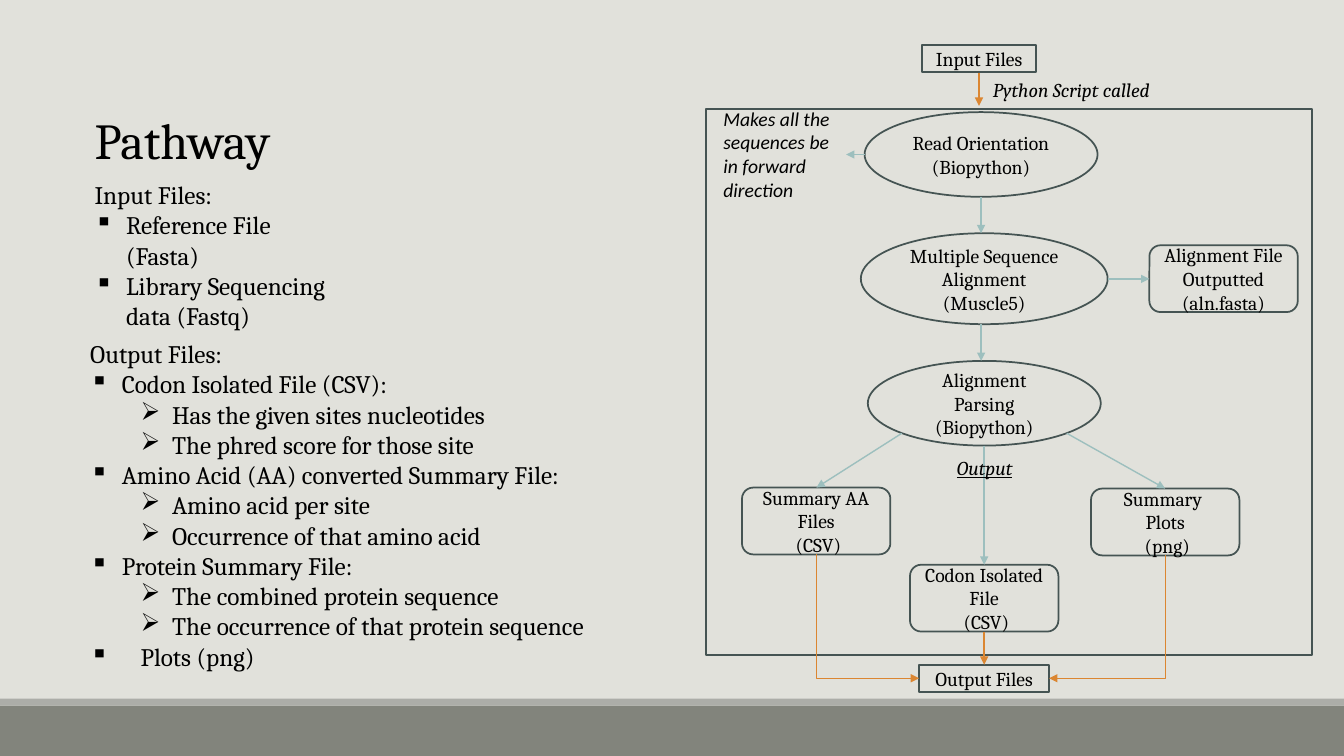
"""Build the sequencing pathway slide: file lists on the left, flowchart on the right."""
from dataclasses import dataclass
from typing import NamedTuple

from lxml.etree import SubElement
from pptx import Presentation
from pptx.dml.color import RGBColor
from pptx.enum.shapes import MSO_CONNECTOR, MSO_SHAPE
from pptx.enum.text import MSO_ANCHOR, MSO_AUTO_SIZE, PP_ALIGN
from pptx.oxml.ns import qn
from pptx.shapes.autoshape import Shape
from pptx.shapes.connector import Connector
from pptx.slide import Slide
from pptx.util import Pt

COLORS = {
    "background": "E1E1DB",
    "footer": "82847C",
    "strip": "ACADA8",
    "outline": "455453",
    "step": "9DBFBE",
    "file": "DB8631",
    "text": "000000",
}


class Box(NamedTuple):
    left: float
    top: float
    width: float
    height: float


class Line(NamedTuple):
    text: str
    bullet: str = ""
    margin: float = 0
    hanging: float = 22.5


@dataclass(frozen=True)
class Node:
    kind: MSO_SHAPE
    box: Box
    lines: tuple[str, ...] = ()


@dataclass(frozen=True)
class Label:
    box: Box
    lines: tuple[Line, ...]
    size: float = 14
    font: str = "Cambria"
    italic: bool = False
    underline: bool = False


@dataclass(frozen=True)
class Arrow:
    start: tuple[float, float]
    end: tuple[float, float]
    color: str = "step"
    bent: bool = False


def item(text: str) -> Line:
    return Line(text, "▪", 22.5)


def detail(text: str) -> Line:
    return Line(text, "➢", 58.5)


def file_node(left: float, top: float, *lines: str) -> Node:
    return Node(MSO_SHAPE.ROUNDED_RECTANGLE, Box(left, top, 106, 47.7), lines)


BARS = (("footer", Box(0, 504, 960, 36)), ("strip", Box(0, 499, 960, 5)))

LABELS = (
    Label(Box(60.5, 74.2, 535.7, 51.1), (Line("Pathway"),), size=36),
    Label(
        Box(60.5, 124.6, 191.5, 116.6),
        (
            Line("Input Files:"),
            item("Reference File (Fasta)"),
            item("Library Sequencing data (Fastq)"),
        ),
        size=18,
    ),
    Label(
        Box(57.4, 238.3, 372.2, 269.3),
        (
            Line("Output Files:"),
            item("Codon Isolated File (CSV):"),
            detail("Has the given sites nucleotides"),
            detail("The phred score for those site"),
            item("Amino Acid (AA) converted Summary File:"),
            detail("Amino acid per site"),
            detail("Occurrence of that amino acid"),
            item("Protein Summary File:"),
            detail("The combined protein sequence"),
            detail("The occurrence of that protein sequence"),
            Line("Plots (png)", "▪", 36, 36),
        ),
        size=18,
    ),
    Label(Box(699, 51.8, 144.7, 24.2), (Line(" Python Script called"),), italic=True),
    Label(Box(676.5, 322, 70.6, 24.2), (Line("Output"),), italic=True, underline=True),
    Label(
        Box(509.6, 72.8, 95, 74.9),
        (Line("Makes all the sequences be in forward direction"),),
        font="Calibri",
        italic=True,
    ),
)

NODES = (
    Node(MSO_SHAPE.RECTANGLE, Box(504.2, 77.8, 432.9, 390.2)),
    Node(MSO_SHAPE.RECTANGLE, Box(658.5, 32.1, 81.8, 19.4), ("Input Files",)),
    Node(MSO_SHAPE.OVAL, Box(617.6, 80.1, 166.4, 60.5), ("Read Orientation", "(Biopython)")),
    Node(MSO_SHAPE.OVAL, Box(614.9, 166.6, 176.3, 65), ("Multiple Sequence Alignment", "(Muscle5)")),
    Node(MSO_SHAPE.OVAL, Box(619.9, 257.8, 166.4, 60.5), ("Alignment Parsing", "(Biopython)")),
    file_node(821, 175.2, "Alignment File Outputted (aln.fasta)"),
    file_node(530, 348.3, "Summary AA Files", " (CSV)"),
    file_node(650, 403.4, "Codon Isolated File", " (CSV)"),
    file_node(779.3, 349, "Summary ", "Plots", " (png)"),
    Node(MSO_SHAPE.RECTANGLE, Box(656.5, 474.8, 92.9, 19.4), ("Output Files",)),
)

ARROWS = (
    Arrow((699.3, 51.8), (699.3, 75.6), "file"),
    Arrow((700.8, 140.6), (700.8, 166.6)),
    Arrow((700.8, 231.6), (700.8, 257.8)),
    Arrow((791.2, 199.2), (821, 199.2)),
    Arrow((644.2, 309.5), (583.2, 348.3)),
    Arrow((703, 318.3), (703, 403.4)),
    Arrow((762, 309.5), (832.3, 349)),
    Arrow((617.6, 110.4), (604.4, 110.4)),
    Arrow((583.2, 396), (656.5, 484.5), "file", bent=True),
    Arrow((703, 451.1), (703, 474.8), "file"),
    Arrow((832.3, 396.7), (749.4, 484.5), "file", bent=True),
)


def color(name: str) -> RGBColor:
    return RGBColor.from_string(COLORS[name])


def write_text(shape: Shape, lines: tuple[Line, ...], *, size: float = 14, font: str = "Cambria",
               italic: bool = False, underline: bool = False,
               align: PP_ALIGN = PP_ALIGN.LEFT, anchor: MSO_ANCHOR = MSO_ANCHOR.TOP) -> None:
    frame = shape.text_frame
    frame.word_wrap = True
    frame.vertical_anchor = anchor
    for index, line in enumerate(lines):
        paragraph = frame.add_paragraph() if index else frame.paragraphs[0]
        paragraph.alignment = align
        run = paragraph.add_run()
        run.text = line.text
        run.font.size = Pt(size)
        run.font.name = font
        run.font.italic = italic
        run.font.underline = underline
        run.font.color.rgb = color("text")
        if line.bullet:
            properties = paragraph._p.get_or_add_pPr()
            properties.set("marL", str(Pt(line.margin)))
            properties.set("indent", str(-Pt(line.hanging)))
            SubElement(properties, qn("a:buChar")).set("char", line.bullet)


def draw_shape(slide: Slide, kind: MSO_SHAPE, box: Box) -> Shape:
    shape = slide.shapes.add_shape(kind, *map(Pt, box))
    shape.shadow.inherit = False
    return shape


def draw_bar(slide: Slide, fill: str, box: Box) -> None:
    shape = draw_shape(slide, MSO_SHAPE.RECTANGLE, box)
    shape.fill.solid()
    shape.fill.fore_color.rgb = color(fill)
    shape.line.fill.background()


def draw_node(slide: Slide, node: Node) -> None:
    shape = draw_shape(slide, node.kind, node.box)
    shape.fill.background()
    shape.line.color.rgb = color("outline")
    shape.line.width = Pt(1.25)
    write_text(shape, tuple(map(Line, node.lines)), align=PP_ALIGN.CENTER, anchor=MSO_ANCHOR.MIDDLE)


def draw_label(slide: Slide, label: Label) -> None:
    shape = slide.shapes.add_textbox(*map(Pt, label.box))
    write_text(shape, label.lines, size=label.size, font=label.font,
               italic=label.italic, underline=label.underline)
    shape.text_frame.auto_size = MSO_AUTO_SIZE.SHAPE_TO_FIT_TEXT


def add_elbow(slide: Slide, arrow: Arrow) -> Connector:
    (start_x, start_y), (end_x, end_y) = arrow.start, arrow.end
    center_x, center_y = (start_x + end_x) / 2, (start_y + end_y) / 2
    half_width, half_height = (end_y - start_y) / 2, abs(end_x - start_x) / 2
    side = 1 if end_x > start_x else -1
    corners = (center_x + side * half_width, center_y - half_height,
               center_x - side * half_width, center_y + half_height)
    connector = slide.shapes.add_connector(MSO_CONNECTOR.ELBOW, *map(Pt, corners))
    properties = connector._element.spPr
    properties.find(qn("a:prstGeom")).set("prst", "bentConnector2")
    properties.find(qn("a:xfrm")).set("rot", str((270 if side > 0 else 90) * 60000))
    return connector


def draw_arrow(slide: Slide, arrow: Arrow) -> None:
    if arrow.bent:
        connector = add_elbow(slide, arrow)
    else:
        connector = slide.shapes.add_connector(MSO_CONNECTOR.STRAIGHT, *map(Pt, arrow.start + arrow.end))
    connector.line.color.rgb = color(arrow.color)
    connector.line.width = Pt(1)
    properties = connector._element.spPr
    SubElement(properties.find(qn("a:ln")), qn("a:tailEnd")).set("type", "triangle")
    SubElement(properties, qn("a:effectLst"))


def main() -> None:
    presentation = Presentation()
    presentation.slide_width, presentation.slide_height = Pt(960), Pt(540)
    slide = presentation.slides.add_slide(presentation.slide_layouts[6])
    slide.background.fill.solid()
    slide.background.fill.fore_color.rgb = color("background")
    for fill, box in BARS:
        draw_bar(slide, fill, box)
    for node in NODES:
        draw_node(slide, node)
    for arrow in ARROWS:
        draw_arrow(slide, arrow)
    for label in LABELS:
        draw_label(slide, label)
    presentation.save("out.pptx")


if __name__ == "__main__":
    main()
